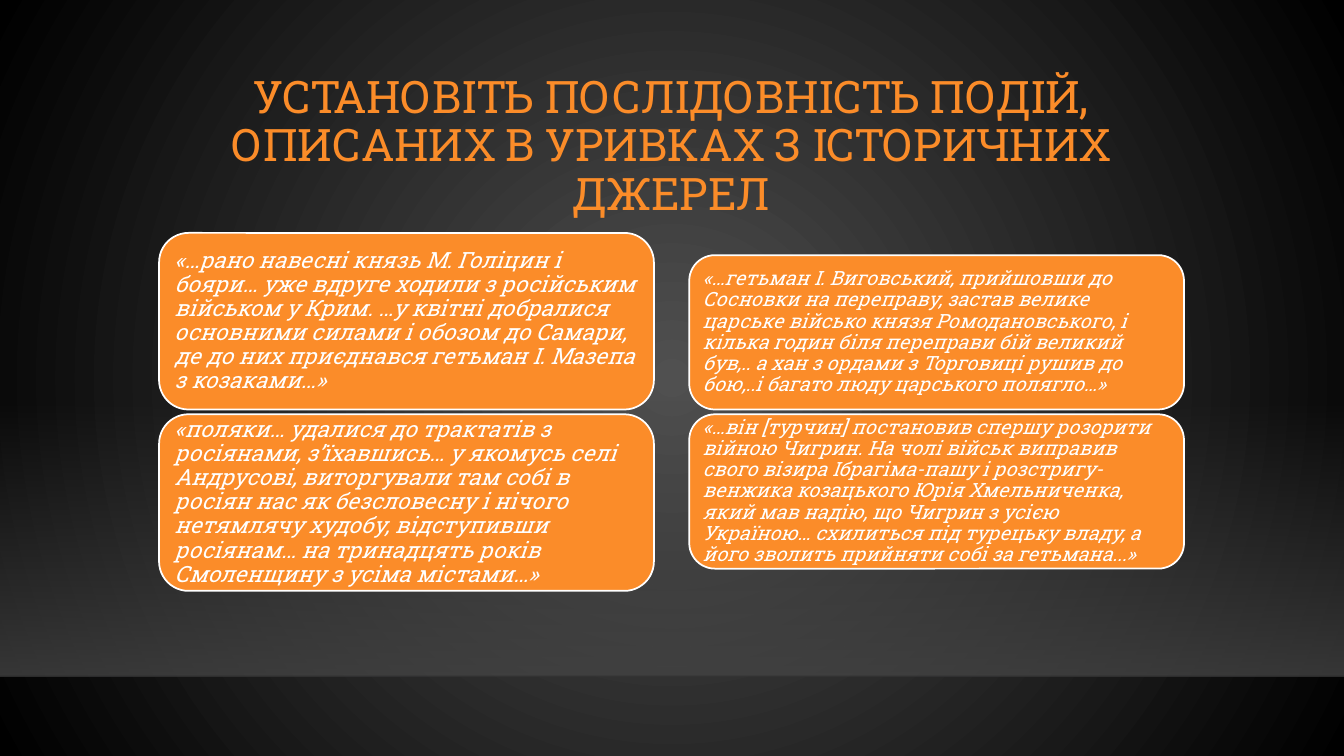
from dataclasses import dataclass
from typing import Any

from lxml.etree import SubElement
from pptx import Presentation
from pptx.dml.color import RGBColor
from pptx.enum.shapes import MSO_CONNECTOR, MSO_SHAPE
from pptx.enum.text import MSO_ANCHOR, MSO_AUTO_SIZE, PP_ALIGN
from pptx.oxml.ns import qn
from pptx.slide import Slide
from pptx.text.text import TextFrame
from pptx.util import Cm, Pt

COLORS = {
    "accent": "FB8C29",
    "text": "FFFFFF",
    "glow": "505050",
    "edge": "000000",
    "floor": "454545",
    "horizon": "000001",
}
FONT = "Roboto Slab"
WIDTH, HEIGHT = Cm(33.87), Cm(19.05)
FLOOR_TOP, HORIZON = Cm(10.06), Cm(17.04)
CARD_WIDTH, CARD_GAP, CARDS_MIDDLE = 12.47, 0.12, 10.38
TITLE = "УСТАНОВІТЬ ПОСЛІДОВНІСТЬ ПОДІЙ, ОПИСАНИХ В УРИВКАХ З ІСТОРИЧНИХ ДЖЕРЕЛ"


@dataclass
class QuoteColumn:
    left: float
    card_height: float
    inset: float
    text_size: int
    quotes: tuple[str, str]


COLUMNS = [
    QuoteColumn(4.01, 4.45, 0.17, 16, (
        "«…рано навесні князь М. Голіцин і бояри… уже вдруге ходили з "
        "російським військом у Крим. …у квітні добралися основними силами і "
        "обозом до Самари, де до них приєднався гетьман І. Мазепа з козаками…»",
        "«поляки… удалися до трактатів з росіянами, з’їхавшись… у якомусь селі "
        "Андрусові, виторгували там собі в росіян нас як безсловесну і нічого "
        "нетямлячу худобу, відступивши росіянам… на тринадцять років "
        "Смоленщину з усіма містами…»",
    )),
    QuoteColumn(17.37, 3.89, 0.15, 14, (
        "«…гетьман І. Виговський, прийшовши до Сосновки на переправу, застав "
        "велике царське військо князя Ромодановського, і кілька годин біля "
        "переправи бій великий був,.. а хан з ордами з Торговиці рушив до "
        "бою,..і багато люду царського полягло…»",
        "«…він [турчин] постановив спершу розорити війною Чигрин. На чолі "
        "військ виправив свого візира Ібрагіма-пашу і розстригу-венжика "
        "козацького Юрія Хмельниченка, який мав надію, що Чигрин з усією "
        "Україною… схилиться під турецьку владу, а його зволить прийняти собі "
        "за гетьмана...»",
    )),
]


def color(name: str) -> RGBColor:
    return RGBColor.from_string(COLORS[name])


def apply(target: Any, values: dict[str, Any]) -> None:
    for name, value in values.items():
        setattr(target, name, value)


def set_opacity(color_element: Any, percent: int) -> None:
    SubElement(color_element, qn("a:alpha")).set("val", str(percent * 1000))


def write_text(frame: TextFrame, text: str, align: PP_ALIGN, size: int,
               color_name: str, italic: bool) -> None:
    apply(frame, {"word_wrap": True, "auto_size": MSO_AUTO_SIZE.NONE,
                  "vertical_anchor": MSO_ANCHOR.MIDDLE})
    para = frame.paragraphs[0]
    apply(para, {"alignment": align, "line_spacing": 0.9, "space_before": Pt(0)})
    span = para.add_run()
    span.text = text
    apply(span.font, {"name": FONT, "size": Pt(size), "italic": italic})
    span.font.color.rgb = color(color_name)


def paint_background(page: Slide) -> None:
    fill = page.background.fill
    fill.gradient()
    for stop, name in zip(fill.gradient_stops, ("glow", "edge")):
        stop.color.rgb = color(name)
    linear = page.element.find(".//" + qn("a:lin"))
    gradient = linear.getparent()
    gradient.remove(linear)
    circle = SubElement(gradient, qn("a:path"))
    circle.set("path", "circle")
    center = SubElement(circle, qn("a:fillToRect"))
    for side in "ltrb":
        center.set(side, "50000")


def add_floor(page: Slide) -> None:
    floor = page.shapes.add_shape(
        MSO_SHAPE.RECTANGLE, 0, FLOOR_TOP, WIDTH, HORIZON - FLOOR_TOP)
    floor.shadow.inherit = False
    floor.line.fill.background()
    floor.fill.gradient()
    floor.fill.gradient_angle = 270
    for stop in floor.fill.gradient_stops:
        stop.color.rgb = color("floor")
    stops = floor.element.spPr.iter(qn("a:srgbClr"))
    for color_element, percent in zip(stops, (0, 80)):
        set_opacity(color_element, percent)

    horizon = page.shapes.add_connector(
        MSO_CONNECTOR.STRAIGHT, 0, HORIZON, WIDTH, HORIZON)
    horizon.line.width = Pt(1)
    horizon.line.color.rgb = color("horizon")
    properties = horizon.element.spPr
    set_opacity(properties.find(".//" + qn("a:srgbClr")), 20)
    SubElement(properties, qn("a:effectLst"))


def add_title(page: Slide) -> None:
    title = page.shapes.title
    apply(title, {"left": Cm(4.01), "top": Cm(2.24),
                  "width": Cm(25.81), "height": Cm(2.95)})
    write_text(title.text_frame, TITLE, PP_ALIGN.CENTER, 32, "accent", False)


def add_column(page: Slide, column: QuoteColumn) -> None:
    step = column.card_height + CARD_GAP
    first_top = CARDS_MIDDLE + CARD_GAP / 2 - step
    for row, quote in enumerate(column.quotes):
        box = page.shapes.add_shape(
            MSO_SHAPE.ROUNDED_RECTANGLE, Cm(column.left),
            Cm(first_top + row * step), Cm(CARD_WIDTH), Cm(column.card_height))
        box.shadow.inherit = False
        box.fill.solid()
        box.fill.fore_color.rgb = color("accent")
        box.line.color.rgb = color("text")
        box.line.width = Pt(1.25)
        for side in ("left", "top", "right", "bottom"):
            setattr(box.text_frame, f"margin_{side}", Cm(column.inset))
        write_text(box.text_frame, quote, PP_ALIGN.LEFT,
                   column.text_size, "text", True)


def main() -> None:
    deck = Presentation()
    apply(deck, {"slide_width": WIDTH, "slide_height": HEIGHT})
    page = deck.slides.add_slide(deck.slide_layouts[5])
    paint_background(page)
    add_floor(page)
    add_title(page)
    for column in COLUMNS:
        add_column(page, column)
    deck.save("out.pptx")


if __name__ == "__main__":
    main()
